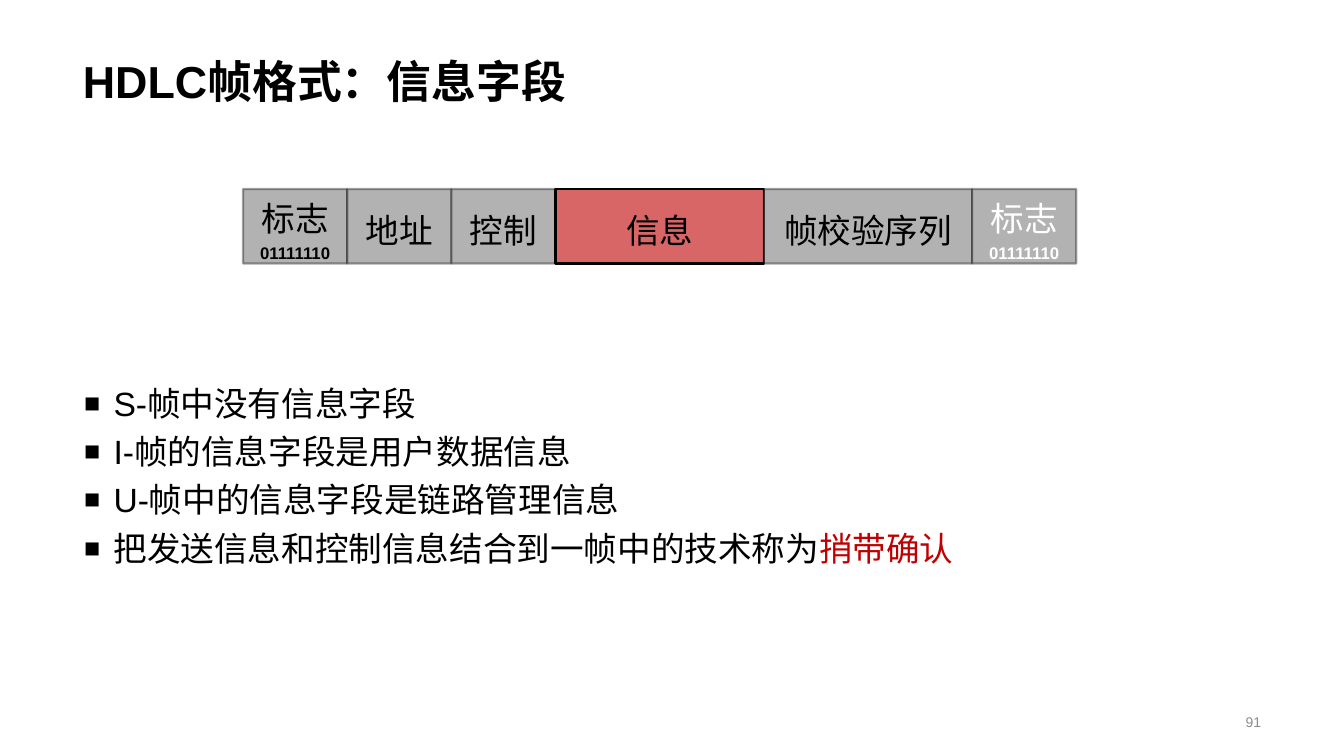
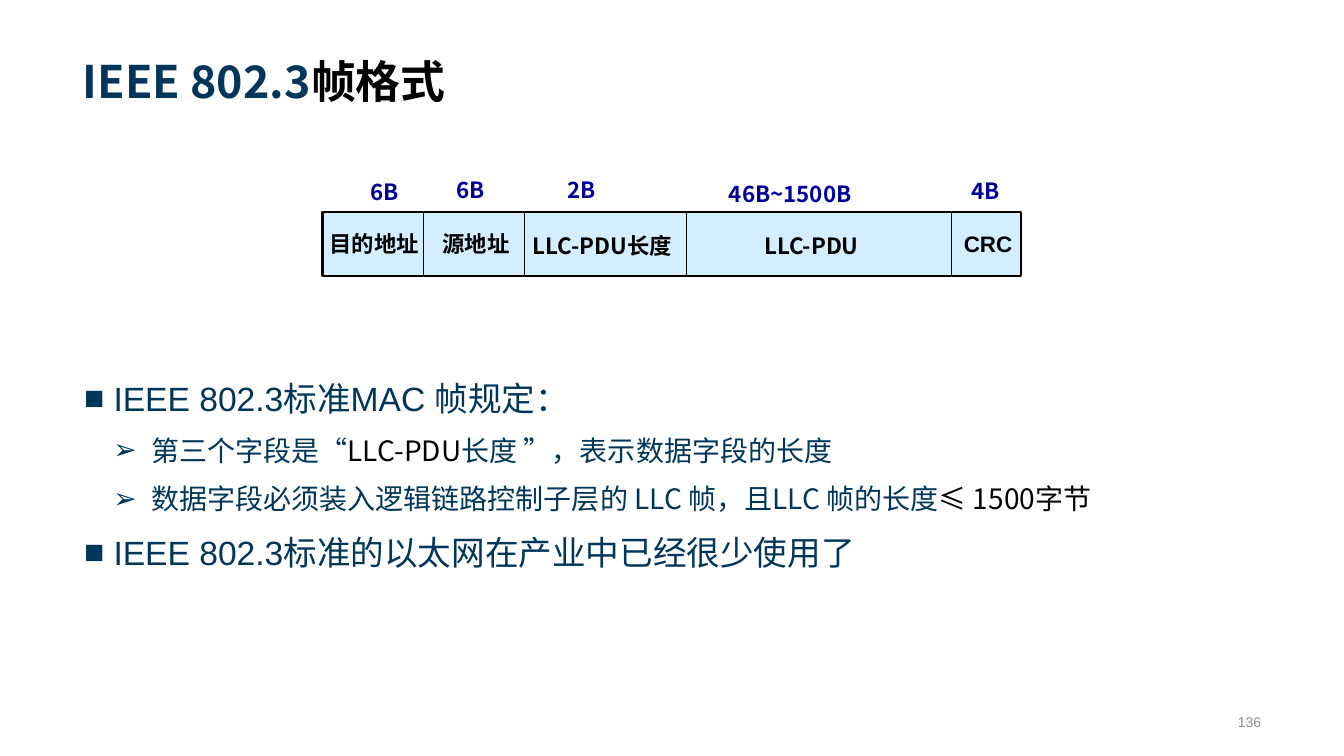
"""Build two slides on the HDLC and IEEE 802.3 frame formats."""
from lxml import etree
from pptx import Presentation
from pptx.dml.color import RGBColor
from pptx.enum.shapes import MSO_CONNECTOR, MSO_SHAPE
from pptx.enum.text import MSO_ANCHOR, MSO_AUTO_SIZE, PP_ALIGN
from pptx.oxml.ns import qn
from pptx.util import Pt

RECTANGLE = MSO_SHAPE.RECTANGLE
STRAIGHT = MSO_CONNECTOR.STRAIGHT
TOP, MIDDLE, BOTTOM = MSO_ANCHOR.TOP, MSO_ANCHOR.MIDDLE, MSO_ANCHOR.BOTTOM
LEFT, CENTER, RIGHT = PP_ALIGN.LEFT, PP_ALIGN.CENTER, PP_ALIGN.RIGHT
NO_AUTOFIT = MSO_AUTO_SIZE.NONE

ARIAL, NOTO = "Arial", "Noto Sans CJK SC"
BLACK, WHITE, RED, GRAY = "000000", "FFFFFF", "C00000", "808080"
NAVY, SIZE_BLUE, PALE_BLUE, NUMBER_GRAY = "003659", "000099", "D5EEFF", "8C8C8C"
LINE_SPACING = 1.2


def color(value):
    return RGBColor.from_string(value)


def write(paragraph, runs, size, text_color=BLACK, name=ARIAL, bold=False, align=LEFT):
    """Fill a paragraph with (text, overrides) runs on one base font."""
    paragraph.alignment = align
    font = paragraph.font
    font.size, font.name, font.bold = Pt(size), name, bold
    font.color.rgb = color(text_color)
    defaults = paragraph._p.pPr.find(qn("a:defRPr"))
    etree.SubElement(defaults, qn("a:ea"), typeface=NOTO)
    for text, overrides in runs:
        run = paragraph.add_run()
        run.text = text
        if "color" in overrides:
            run.font.color.rgb = color(overrides["color"])
        if "name" in overrides:
            run.font.name = overrides["name"]
        if "size" in overrides:
            run.font.size = Pt(overrides["size"])
            run.font.bold = True


presentation = Presentation()
presentation.slide_width, presentation.slide_height = Pt(960), Pt(540)
title_only = presentation.slide_layouts[5]

hdlc_bullets = [
    (0, [("S-帧中没有信息字段", {})]),
    (0, [("I-帧的信息字段是用户数据信息", {})]),
    (0, [("U-帧中的信息字段是链路管理信息", {})]),
    (0, [("把发送信息和控制信息结合到一帧中的技术称为", {}), ("捎带确认", {"color": RED})]),
]
ieee_bullets = [
    (0, [("IEEE 802.3标准MAC 帧规定：", {})]),
    (1, [("第三个字段是“", {}), ("LLC-PDU", {"color": BLACK}),
         ("长度 ”，表示数据字段的长度", {})]),
    (1, [("数据字段必须装入逻辑链路控制子层的 LLC 帧，且LLC 帧的长度", {}),
         ("≤ 1500字节", {"color": BLACK})]),
    (0, [("IEEE 802.3标准的以太网在产业中已经很少使用了", {})]),
]
pages = [
    ([("HDLC帧格式：信息字段", {})], "91", hdlc_bullets, 264, BLACK, 80, 0),
    ([("IEEE 802.3", {"color": NAVY, "name": NOTO}), ("帧格式", {})],
     "136", ieee_bullets, 260.5, NAVY, 100, 6),
]
levels = [("■", 21, 21, 24, ARIAL), ("➢", 48, 27, 20, NOTO)]

slides = []
for title_runs, number, bullets, body_top, body_color, bullet_percent, gap in pages:
    slide = presentation.slides.add_slide(title_only)
    slides.append(slide)

    title = slide.shapes.title
    title.left, title.top, title.width, title.height = Pt(52), Pt(10), Pt(855), Pt(70.6)
    frame = title.text_frame
    frame.word_wrap, frame.auto_size = True, NO_AUTOFIT
    frame.vertical_anchor = BOTTOM
    write(frame.paragraphs[0], title_runs, 32, bold=True)

    body = slide.shapes.add_textbox(Pt(53), Pt(body_top), Pt(855), Pt(200))
    frame = body.text_frame
    frame.word_wrap, frame.vertical_anchor = True, TOP
    for index, (level, runs) in enumerate(bullets):
        mark, margin, hanging, size, name = levels[level]
        paragraph = frame.add_paragraph() if index else frame.paragraphs[0]
        properties = paragraph._p.get_or_add_pPr()
        properties.set("marL", str(Pt(margin)))
        properties.set("indent", str(-Pt(hanging)))
        etree.SubElement(properties, qn("a:buSzPct"), val=str(bullet_percent * 1000))
        etree.SubElement(properties, qn("a:buFont"), typeface=ARIAL)
        etree.SubElement(properties, qn("a:buChar"), char=mark)
        paragraph.line_spacing = LINE_SPACING
        if index:
            paragraph.space_before = Pt(gap)
        write(paragraph, runs, size, body_color, name)

    page_number = slide.shapes.add_textbox(Pt(844.5), Pt(505), Pt(63.4), Pt(21.6))
    frame = page_number.text_frame
    frame.word_wrap, frame.vertical_anchor = True, MIDDLE
    write(frame.paragraphs[0], [(number, {})], 10, NUMBER_GRAY, align=RIGHT)

hdlc_slide, ieee_slide = slides

flag = [("标志", {}), ("01111110", {"size": 12})]
hdlc_fields = [
    (flag, 1, GRAY, BLACK),
    ([("地址", {})], 1, GRAY, BLACK),
    ([("控制", {})], 1, GRAY, BLACK),
    ([("信息", {})], 2, RED, BLACK),
    ([("帧校验序列", {})], 2, GRAY, BLACK),
    (flag, 1, GRAY, WHITE),
]
unit = 74.4
left = 173.6
for runs, units, fill_color, text_color in hdlc_fields:
    field = hdlc_slide.shapes.add_shape(
        RECTANGLE, Pt(left), Pt(135), Pt(units * unit), Pt(53.3))
    field.shadow.inherit = False
    field.fill.solid()
    field.fill.fore_color.rgb = color(fill_color)
    field.line.color.rgb = color(BLACK)
    field.line.width = Pt(1.5)
    fill, line = field._element.spPr.iter(qn("a:srgbClr"))
    etree.SubElement(fill, qn("a:alpha"), val="60000")
    if fill_color == GRAY:
        etree.SubElement(line, qn("a:alpha"), val="34000")
    frame = field.text_frame
    frame.word_wrap, frame.vertical_anchor = True, MIDDLE
    frame.paragraphs[0].line_spacing = LINE_SPACING
    write(frame.paragraphs[0], runs, 24, text_color, align=CENTER)
    left += units * unit

frame_top, frame_height = 151.4, 45.6
ieee_frame = ieee_slide.shapes.add_shape(
    RECTANGLE, Pt(230.4), Pt(frame_top), Pt(499), Pt(frame_height))
ieee_frame.shadow.inherit = False
ieee_frame.fill.solid()
ieee_frame.fill.fore_color.rgb = color(PALE_BLUE)
ieee_frame.line.color.rgb = color(BLACK)
ieee_frame.line.width = Pt(1.5)

for x in (302.5, 374.5, 490.4, 679.7):
    divider = ieee_slide.shapes.add_connector(
        STRAIGHT, Pt(x), Pt(frame_top), Pt(x), Pt(frame_top + frame_height))
    divider.line.color.rgb = color(BLACK)
    divider.line.width = Pt(1)
    etree.SubElement(divider._element.spPr, qn("a:effectLst"))

ieee_labels = [
    ("目的地址", 226, 156.4, 87, ARIAL, BLACK),
    ("源地址", 306.6, 156.4, 67.6, ARIAL, BLACK),
    ("LLC-PDU长度", 371.2, 157.6, 122.4, NOTO, BLACK),
    ("LLC-PDU", 536.4, 157.6, 90, NOTO, BLACK),
    ("CRC", 679, 156.4, 54, ARIAL, BLACK),
    ("6B", 255.2, 118.8, 40.4, NOTO, SIZE_BLUE),
    ("6B", 316.8, 117.4, 40.4, NOTO, SIZE_BLUE),
    ("2B", 395.8, 117.4, 40.4, NOTO, SIZE_BLUE),
    ("46B~1500B", 511.2, 120.6, 113.8, NOTO, SIZE_BLUE),
    ("4B", 684.6, 118.4, 40.4, NOTO, SIZE_BLUE),
]
for text, left, top, width, name, text_color in ieee_labels:
    label = ieee_slide.shapes.add_textbox(Pt(left), Pt(top), Pt(width), Pt(31))
    frame = label.text_frame
    frame.word_wrap = False
    frame.margin_left = frame.margin_right = Pt(9.4)
    frame.margin_top = frame.margin_bottom = Pt(4.3)
    frame.paragraphs[0].line_spacing = LINE_SPACING
    write(frame.paragraphs[0], [(text, {})], 16, text_color, name, bold=True)

presentation.save("out.pptx")
